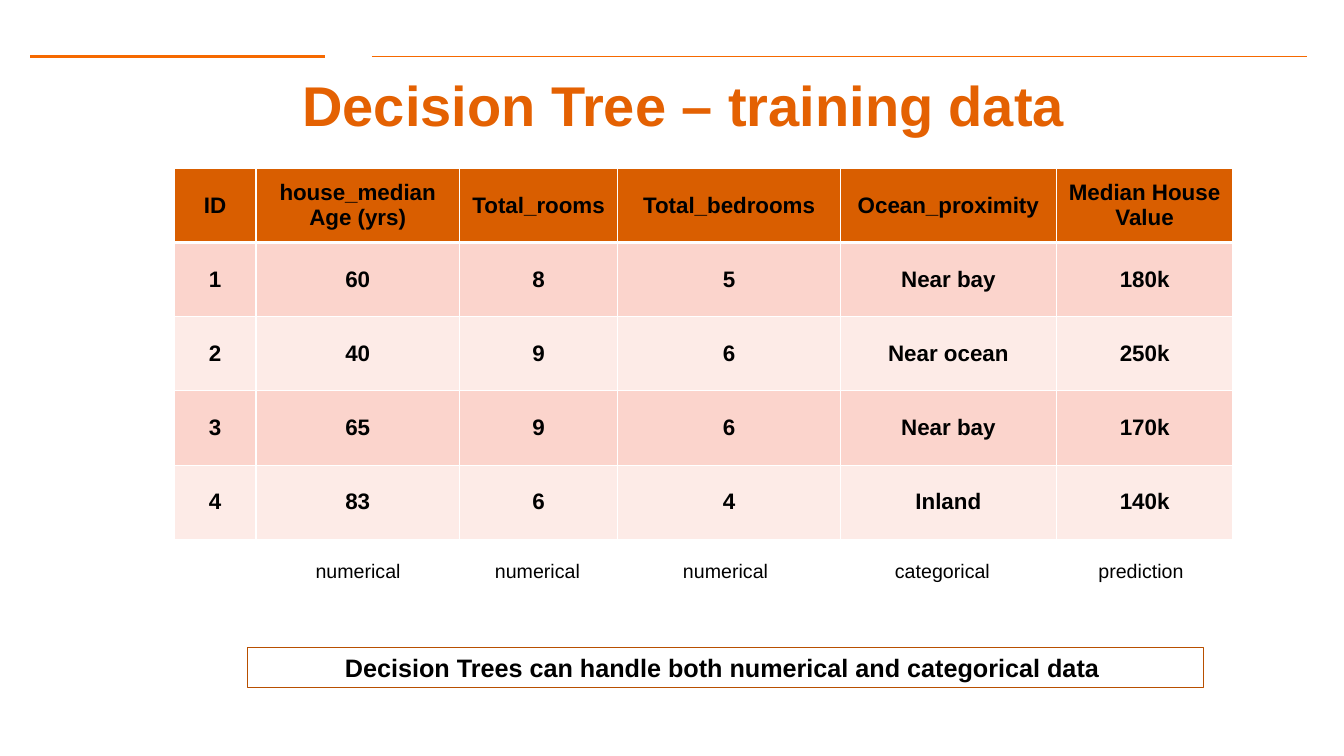
import pptx
import pptx.util
import pptx.dml.color
import pptx.enum.shapes
import pptx.enum.text
import pptx.oxml
import pptx.oxml.ns
from pptx.util import Cm

COLORS = {"rule": "F66900", "title": "E46102", "header": "D95E00", "odd": "FBD4CC",
          "even": "FDEBE7", "white": "FFFFFF", "text": "000000", "frame": "B84F00"}

TITLE = "Decision Tree – training data"
TRAINING_DATA = [
    ("ID", "house_median\nAge (yrs)", "Total_rooms", "Total_bedrooms",
     "Ocean_proximity", "Median House \nValue"),
    ("1", "60", "8", "5", "Near bay", "180k"),
    ("2", "40", "9", "6", "Near ocean", "250k"),
    ("3", "65", "9", "6", "Near bay", "170k"),
    ("4", "83", "6", "4", "Inland", "140k"),
]
DATA_KINDS = [("", "numerical", "numerical", "numerical", "categorical", "prediction")]
TAKEAWAY = "Decision Trees can handle both numerical and categorical data "

# Lengths in cm
RULE_TOP = 1.42
RULES = [(0.76, 8.18, 2), (9.37, 32.94, 1)]  # from, to, weight in points
TITLE_BOX = (1.98, 1.93, 30.48, 1.4)
TAKEAWAY_BOX = (6.25, 16.31, 24.08, 1.02)
TABLE_LEFT = 4.39
DATA_WIDTHS = (2.06, 5.13, 3.99, 5.61, 5.44, 4.45)
KIND_WIDTHS = (2.11, 5.05, 3.99, 5.49, 5.44, 4.57)

MIDDLE = pptx.enum.text.MSO_ANCHOR.MIDDLE
TOP = pptx.enum.text.MSO_ANCHOR.TOP


def rgb(name):
    """Return the named colour."""
    return pptx.dml.color.RGBColor.from_string(COLORS[name])


def write(tf, text, size, bold=True, color="text"):
    """Fill a text frame with centred paragraphs."""
    tf.text = text
    style = {"name": "Arial", "size": pptx.util.Pt(size), "bold": bold}
    for p in tf.paragraphs:
        p.alignment = pptx.enum.text.PP_ALIGN.CENTER
        for key, value in style.items():
            setattr(p.font, key, value)
        p.font.color.rgb = rgb(color)
        for r in p.runs:
            for key, value in style.items():
                setattr(r.font, key, value)
            r.font.color.rgb = rgb(color)


def add_border(cell, bottom):
    """Draw white cell borders, with the given bottom weight in points."""
    for side, weight in {"L": 1, "R": 1, "T": 1, "B": bottom}.items():
        cell._tc.get_or_add_tcPr().append(pptx.oxml.parse_xml(
            f'<a:ln{side} {pptx.oxml.ns.nsdecls("a")} w="{pptx.util.Pt(weight)}">'
            f'<a:solidFill><a:srgbClr val="{COLORS["white"]}"/></a:solidFill></a:ln{side}>'))


def add_grid(s, rows, widths, top, row_height, fills, size, bold, anchor):
    """Add a table whose rows take their fill from a list of colour names."""
    table = s.shapes.add_table(len(rows), len(widths), Cm(TABLE_LEFT), Cm(top),
                               Cm(sum(widths)), Cm(row_height * len(rows))).table
    for column, width in zip(table.columns, widths):
        column.width = Cm(width)
    for i, (row, fill) in enumerate(zip(rows, fills)):
        for j, text in enumerate(row):
            cell = table.cell(i, j)
            add_border(cell, 3 if i == 0 else 1)
            cell.fill.solid()
            cell.fill.fore_color.rgb = rgb(fill)
            cell.vertical_anchor = anchor
            write(cell.text_frame, text, size, bold)


def add_rule(s, start, end, weight):
    """Add one horizontal line above the title."""
    line = s.shapes.add_connector(pptx.enum.shapes.MSO_CONNECTOR.STRAIGHT,
                                  Cm(start), Cm(RULE_TOP), Cm(end), Cm(RULE_TOP))
    line.line.color.rgb = rgb("rule")
    line.line.width = pptx.util.Pt(weight)
    line._element.spPr.append(pptx.oxml.parse_xml(
        f'<a:effectLst {pptx.oxml.ns.nsdecls("a")}/>'))


def add_title(s):
    """Place and format the title placeholder."""
    sp = s.shapes.title
    for key, value in zip(("left", "top", "width", "height"), TITLE_BOX):
        setattr(sp, key, Cm(value))
    tf = sp.text_frame
    for side in ("left", "top", "right", "bottom"):
        setattr(tf, f"margin_{side}", Cm(0.33))
    tf.auto_size = pptx.enum.text.MSO_AUTO_SIZE.NONE
    tf.vertical_anchor = MIDDLE
    write(tf, TITLE, 40, color="title")


def add_takeaway(s):
    """Add the framed conclusion."""
    sp = s.shapes.add_shape(pptx.enum.shapes.MSO_SHAPE.RECTANGLE, *map(Cm, TAKEAWAY_BOX))
    sp.shadow.inherit = False
    sp.fill.background()
    sp.line.color.rgb = rgb("frame")
    sp.line.width = pptx.util.Pt(0.75)
    sp.text_frame.word_wrap = True
    sp.text_frame.vertical_anchor = TOP
    write(sp.text_frame, TAKEAWAY, 18)


prs = pptx.Presentation()
prs.slide_width, prs.slide_height = Cm(33.87), Cm(19.05)
s = prs.slides.add_slide(prs.slide_layouts[5])
for rule in RULES:
    add_rule(s, *rule)
add_title(s)
add_grid(s, TRAINING_DATA, DATA_WIDTHS, 4.24, 1.87,
         ["header", "odd", "even", "odd", "even"], 16, True, MIDDLE)
add_grid(s, DATA_KINDS, KIND_WIDTHS, 14, 1.04, ["white"], 14, False, TOP)
add_takeaway(s)
prs.save("out.pptx")
